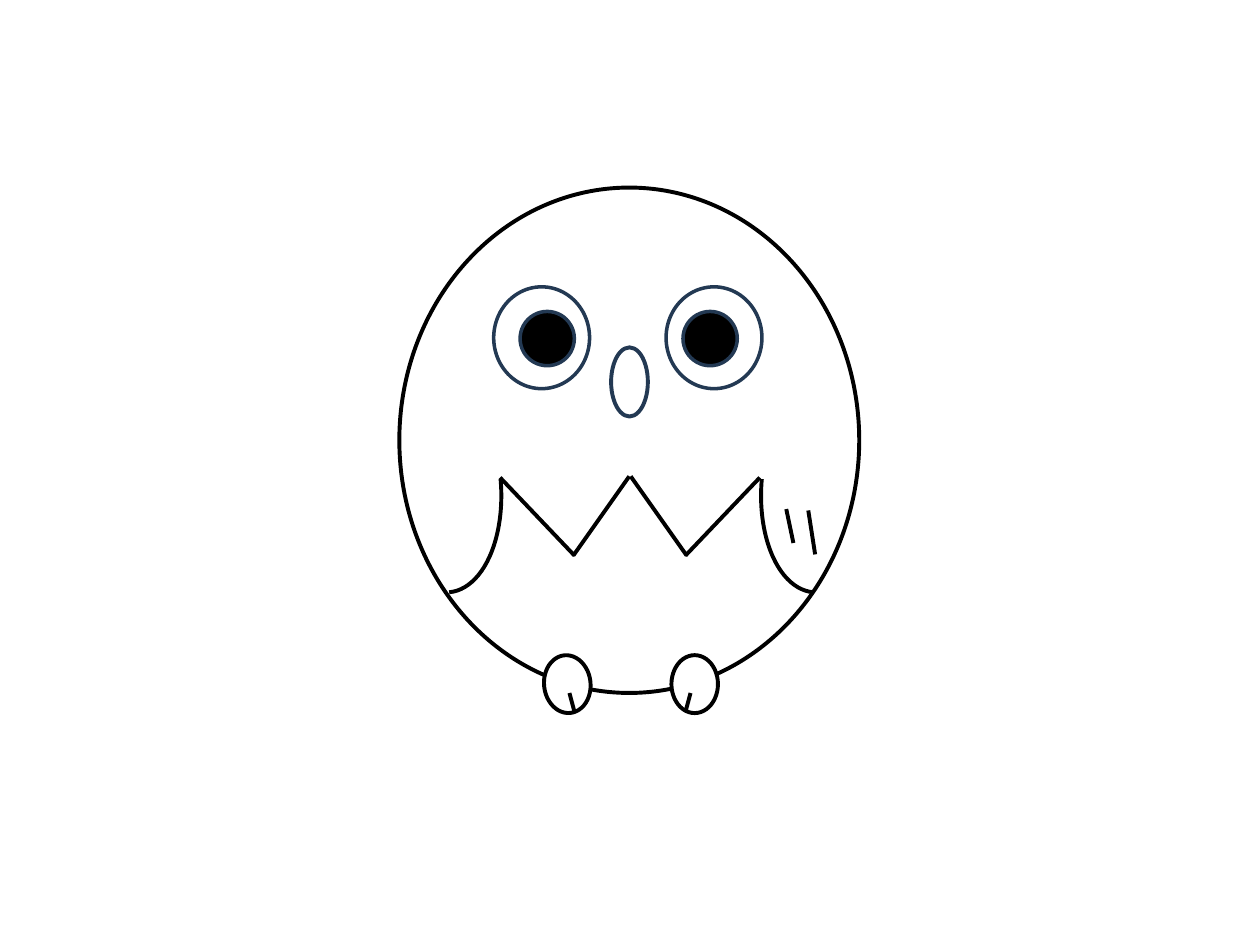
from pptx import Presentation
from pptx.dml.color import RGBColor
from pptx.enum.shapes import MSO_CONNECTOR, MSO_SHAPE
from pptx.oxml.ns import qn
from pptx.util import Pt
from lxml.etree import SubElement

COLORS = {"black": "000000", "navy": "233953", "white": "FFFFFF"}

prs = Presentation()
prs.slide_width, prs.slide_height = Pt(720), Pt(540)
s = prs.slides.add_slide(prs.slide_layouts[6])


def add_outline(kind, box, line="black", width=2.25, fill=None, rotation=0):
    sp = s.shapes.add_shape(kind, *[Pt(v) for v in box])
    sp.shadow.inherit = False
    sp.rotation = rotation
    if fill:
        sp.fill.solid()
        sp.fill.fore_color.rgb = RGBColor.from_string(COLORS[fill])
    else:
        sp.fill.background()
    sp.line.color.rgb = RGBColor.from_string(COLORS[line])
    sp.line.width = Pt(width)
    return sp


def add_stroke(shapes, ends):
    cx = shapes.add_connector(MSO_CONNECTOR.STRAIGHT, *[Pt(v) for v in ends])
    cx.line.color.rgb = RGBColor.from_string(COLORS["black"])
    cx.line.width = Pt(2.25)
    SubElement(cx.element.spPr, qn("a:effectLst"))


# Body, eye rims and beak
add_outline(MSO_SHAPE.OVAL, (228.2, 107.2, 262.8, 288.8))
for x in (282.1, 380.6):
    add_outline(MSO_SHAPE.OVAL, (x, 163.9, 54.8, 58.2), "navy", 2)
add_outline(MSO_SHAPE.OVAL, (349.2, 198.5, 21, 39.5), "navy")

# Wings: the right one mirrors the left
for x, angle in ((189.4, 85), (408.2, 275)):
    wing = add_outline(MSO_SHAPE.ARC, (x, 241.9, 123.8, 69.8), rotation=angle)
wing.element.spPr.get_or_add_xfrm().set("flipH", "1")

# Chest zigzag: one group of two strokes per side, mirrored about the centre
for side in (-1, 1):
    grp = s.shapes.add_group_shape()
    for x1, y1, x2, y2 in ((74.2, 272.9, 31.7, 317.5), (32.4, 317.5, 0.4, 272.2)):
        add_stroke(grp.shapes, (360 + side * x1, y1, 360 + side * x2, y2))

# Pupils
for x in (297.2, 390.3):
    add_outline(MSO_SHAPE.OVAL, (x, 178, 31, 31), "navy", 2, "black")

# Feather marks on the right wing
for ends in ((449.3, 290.9, 453.4, 310.3), (461.9, 291.7, 465.8, 316.8)):
    add_stroke(s.shapes, ends)

# Feet with toe lines
for x, angle in ((310.9, 354), (383.7, 0)):
    add_outline(MSO_SHAPE.OVAL, (x, 374.4, 26.6, 33.1), fill="white", rotation=angle)
for side in (-1, 1):
    add_stroke(s.shapes, (360 + side * 34.6, 396, 360 + side * 31.7, 406.8))

prs.save("out.pptx")
